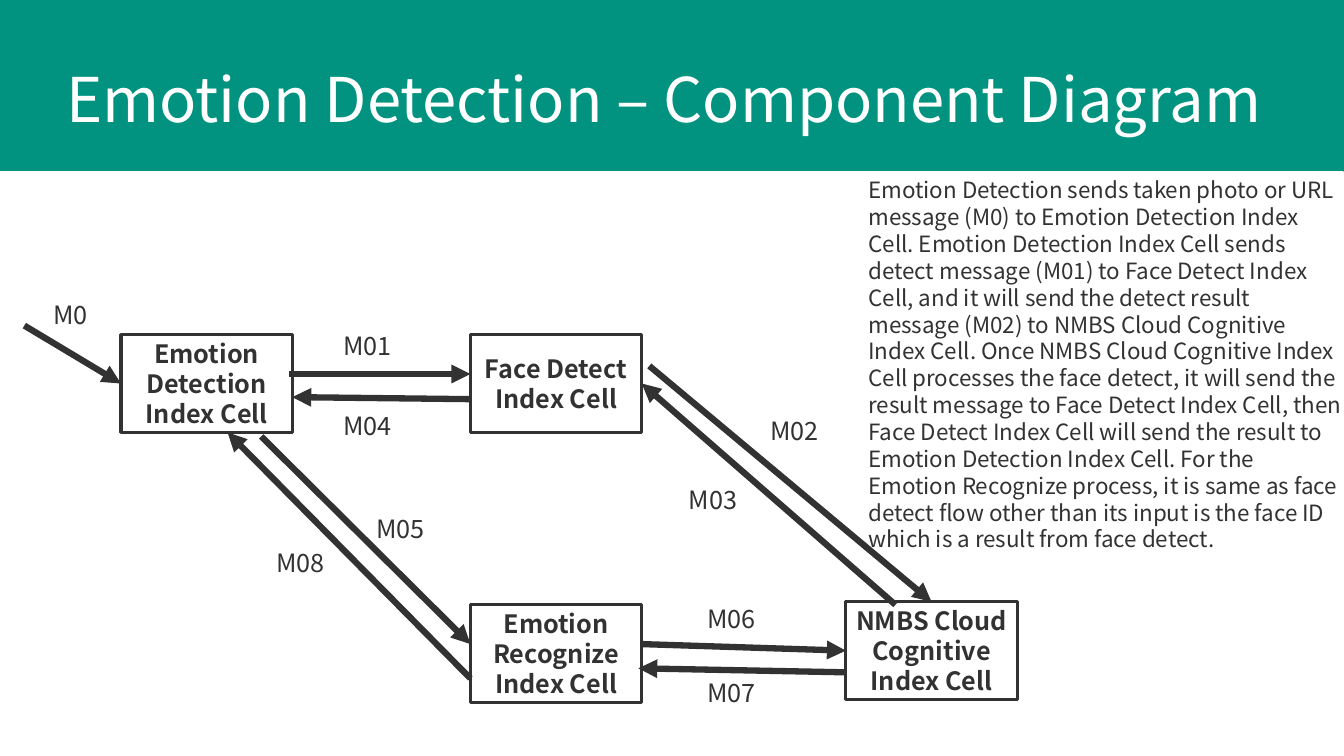
from dataclasses import dataclass

from lxml import etree
from pptx import Presentation
from pptx.dml.color import RGBColor
from pptx.enum.shapes import MSO_CONNECTOR, MSO_SHAPE
from pptx.enum.text import MSO_ANCHOR, PP_ALIGN
from pptx.oxml.ns import qn
from pptx.util import Inches, Pt

STRAIGHT = MSO_CONNECTOR.STRAIGHT
RECTANGLE = MSO_SHAPE.RECTANGLE
TOP, MIDDLE = MSO_ANCHOR.TOP, MSO_ANCHOR.MIDDLE
LEFT, CENTER = PP_ALIGN.LEFT, PP_ALIGN.CENTER
TOP_SIDE, LEFT_SIDE, RIGHT_SIDE = 0, 1, 3

COLUMNS, ROWS = 160, 90
WIDTH, HEIGHT = Inches(13.33), Inches(7.5)


@dataclass(frozen=True)
class Theme:
    font: str = "Noto Sans CJK SC"
    band: RGBColor = RGBColor(0x01, 0x93, 0x80)
    paper: RGBColor = RGBColor(0xFF, 0xFF, 0xFF)
    ink: RGBColor = RGBColor(0x32, 0x32, 0x32)
    title: int = 44
    label: int = 18
    note: int = 16
    panel_line: float = 1
    cell_line: float = 2.25
    arrow_line: float = 4.5


THEME = Theme()

CELL_SIZE = (20.4, 11.64)
CELLS = {
    "emotion": ("Emotion Detection Index Cell", 14.4, 6.84),
    "face": ("Face Detect Index Cell", 56, 6.84),
    "recognize": ("Emotion Recognize Index Cell", 56, 39),
    "cloud": ("NMBS Cloud Cognitive Index Cell", 100.7, 38.64),
}

LABEL_SIZE = (10, 4.8)
MESSAGES = [
    ("M0", (5.2, 2.04), (2.9, 5.76), ("emotion", LEFT_SIDE)),
    ("M01", (39.7, 5.76), (34.4, 11.52), (56, 11.52)),
    ("M02", (90.5, 15.84), (77.3, 10.56), ("cloud", TOP_SIDE)),
    ("M03", (80.8, 24.12), (106.6, 39), ("face", RIGHT_SIDE)),
    ("M04", (39.7, 15.24), (56, 14.52), (34.8, 14.28)),
    ("M05", (43.6, 27.48), (31.1, 18.96), (56, 43.68)),
    ("M06", (83, 38.28), (76.4, 43.68), ("cloud", LEFT_SIDE)),
    ("M07", (83, 47.04), (100.6, 47.04), (76, 46.56)),
    ("M08", (31.7, 31.56), (56, 47.76), (27.1, 18.48)),
]

NOTE = (
    "Emotion Detection sends taken photo or URL message (M0) to Emotion "
    "Detection Index Cell. Emotion Detection Index Cell sends detect message "
    "(M01) to Face Detect Index Cell, and it will send the detect result "
    "message (M02) to NMBS Cloud Cognitive Index Cell. Once NMBS Cloud "
    "Cognitive Index Cell processes the face detect, it will send the result "
    "message to Face Detect Index Cell, then Face Detect Index Cell will send "
    "the result to Emotion Detection Index Cell. For the Emotion Recognize "
    "process, it is same as face detect flow other than its input is the face "
    "ID which is a result from face detect."
)


def grid(left, top, *size):
    values = (left, top, *size)
    units = (WIDTH / COLUMNS, HEIGHT / ROWS) * (len(values) // 2)
    return [round(v * u) for v, u in zip(values, units)]


def write(sp, text, size, color=THEME.ink, bold=False, align=LEFT,
          anchor=TOP, spacing=None):
    tf = sp.text_frame
    tf.word_wrap = True
    tf.vertical_anchor = anchor
    p = tf.paragraphs[0]
    p.alignment = align
    if spacing:
        p.line_spacing = spacing
    r = p.add_run()
    r.text = text
    font = {"name": THEME.font, "size": Pt(size), "bold": bold}
    for name, value in font.items():
        setattr(r.font, name, value)
    r.font.color.rgb = color


def add_text(s, box, text, size, **style):
    write(s.shapes.add_textbox(*grid(*box)), text, size, **style)


def add_box(s, box, line_color, line_width):
    sp = s.shapes.add_shape(RECTANGLE, *grid(*box))
    sp.shadow.inherit = False
    sp.fill.solid()
    sp.fill.fore_color.rgb = THEME.paper
    sp.line.color.rgb = line_color
    sp.line.width = Pt(line_width)
    return sp


def add_arrow(s, start, end):
    arrow = s.shapes.add_connector(STRAIGHT, *grid(*start), *grid(*end))
    arrow.line.color.rgb = THEME.ink
    arrow.line.width = Pt(THEME.arrow_line)
    etree.SubElement(arrow.line._get_or_add_ln(), qn("a:tailEnd"), type="triangle")
    etree.SubElement(arrow._element.spPr, qn("a:effectLst"))
    return arrow


def add_header(s, box):
    add_text(s, box, "Emotion Detection – Component Diagram", THEME.title,
             color=THEME.paper, anchor=MIDDLE, spacing=0.9)


def add_diagram(s, box):
    x, y = box
    cells = {}
    for key, (text, left, top) in CELLS.items():
        cells[key] = add_box(s, (x + left, y + top, *CELL_SIZE),
                             THEME.ink, THEME.cell_line)
        write(cells[key], text, THEME.label, bold=True, align=CENTER, anchor=MIDDLE)
    for text, (left, top), (x1, y1), target in MESSAGES:
        joined = target[0] in cells
        end = (x1, y1) if joined else target
        arrow = add_arrow(s, (x + x1, y + y1), (x + end[0], y + end[1]))
        if joined:
            arrow.end_connect(cells[target[0]], target[1])
        add_text(s, (x + left, y + top, *LABEL_SIZE), text, THEME.label)


def add_note(s, box):
    add_text(s, box, NOTE, THEME.note)


def main():
    prs = Presentation()
    prs.slide_width, prs.slide_height = WIDTH, HEIGHT
    s = prs.slides.add_slide(prs.slide_layouts[6])
    s.background.fill.solid()
    s.background.fill.fore_color.rgb = THEME.band
    add_box(s, (-0.1, 20.5, COLUMNS, 69.5), THEME.paper, THEME.panel_line)
    add_header(s, (6.7, 3.5, 151, 17.4))
    add_diagram(s, (0, 33))
    add_note(s, (102.2, 20.4, 58.8, 46.4))
    prs.save("out.pptx")


if __name__ == "__main__":
    main()
